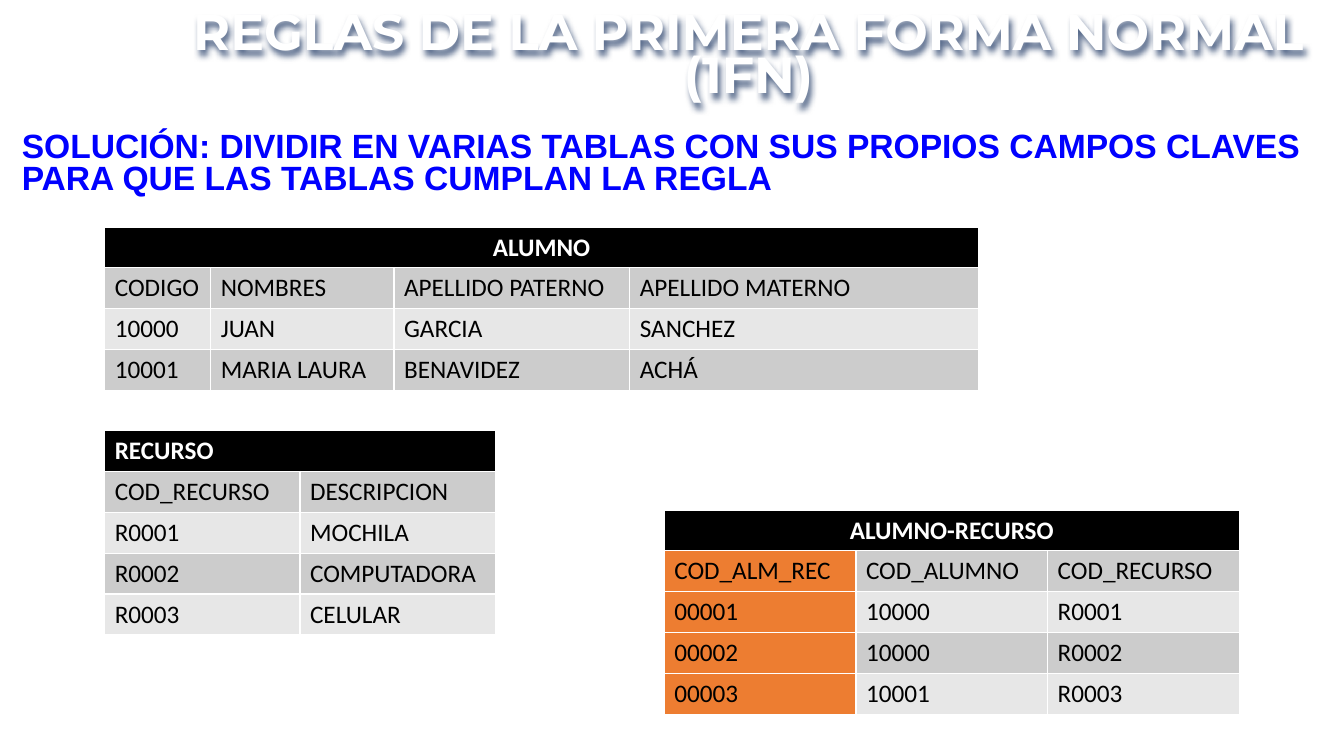
from lxml import etree
from pptx import Presentation
from pptx.dml.color import RGBColor
from pptx.enum import text
from pptx.oxml import ns
from pptx.util import Cm, Pt

WHITE = RGBColor(0xFF, 0xFF, 0xFF)
BLACK = RGBColor(0x00, 0x00, 0x00)
BLUE = RGBColor(0x00, 0x00, 0xFF)
ORANGE = RGBColor(0xED, 0x7D, 0x31)
DARK_BAND = RGBColor(0xCC, 0xCC, 0xCC)
LIGHT_BAND = RGBColor(0xE7, 0xE7, 0xE7)
LEFT = text.PP_ALIGN.LEFT
CENTER = text.PP_ALIGN.CENTER
ROW_HEIGHT = Cm(1.03)


def write(frame, words, font="Calibri", size=18, color=BLACK, bold=False,
          align=LEFT, spacing=None):
    para = frame.paragraphs[0]
    para.alignment = align
    if spacing:
        para.line_spacing = Pt(spacing)
    span = para.add_run()
    span.text = words
    span.font.name = font
    span.font.size = Pt(size)
    span.font.bold = bold
    span.font.color.rgb = color


deck = Presentation()
deck.slide_width = Cm(33.87)
deck.slide_height = Cm(19.05)
page = deck.slides.add_slide(deck.slide_layouts[5])

title = page.shapes.title
title.left, title.top, title.width, title.height = Cm(4.19), Cm(0.43), Cm(29.34), Cm(2.24)
frame = title.text_frame
frame.margin_left = frame.margin_top = frame.margin_right = frame.margin_bottom = 0
frame.vertical_anchor = text.MSO_ANCHOR.TOP
frame.auto_size = text.MSO_AUTO_SIZE.SHAPE_TO_FIT_TEXT
write(frame, "REGLAS DE LA PRIMERA FORMA NORMAL (1FN)", font="Montserrat",
      size=36, color=WHITE, bold=True, align=CENTER, spacing=31)

effects = etree.SubElement(title.element.spPr, ns.qn("a:effectLst"))
shadow = etree.SubElement(effects, ns.qn("a:outerShdw"), blurRad="50800",
                          dist="50800", dir="4200000", algn="tl", rotWithShape="0")
shade = etree.SubElement(shadow, ns.qn("a:srgbClr"), val="1F3864")
etree.SubElement(shade, ns.qn("a:alpha"), val="75000")

TABLES = [
    (2.64, 5.72, [2.67, 4.62, 5.94, 8.79], "ALUMNO", CENTER, None, [
        ["CODIGO", "NOMBRES", "APELLIDO PATERNO", "APELLIDO MATERNO"],
        ["10000", "JUAN", "GARCIA", "SANCHEZ"],
        ["10001", "MARIA LAURA", "BENAVIDEZ", "ACHÁ"],
    ]),
    (16.74, 12.85, [4.83] * 3, "ALUMNO-RECURSO", CENTER, ORANGE, [
        ["COD_ALM_REC", "COD_ALUMNO", "COD_RECURSO"],
        ["00001", "10000", "R0001"],
        ["00002", "10000", "R0002"],
        ["00003", "10001", "R0003"],
    ]),
    (2.64, 10.85, [4.92] * 2, "RECURSO", LEFT, None, [
        ["COD_RECURSO", "DESCRIPCION"],
        ["R0001", "MOCHILA"],
        ["R0002", "COMPUTADORA"],
        ["R0003", "CELULAR"],
    ]),
]

for left, top, widths, name, align, key_color, records in TABLES:
    row_count = len(records) + 1
    table = page.shapes.add_table(row_count, len(widths), Cm(left), Cm(top),
                                  Cm(sum(widths)), ROW_HEIGHT * row_count).table
    for column, width in zip(table.columns, widths):
        column.width = Cm(width)
    for row in table.rows:
        row.height = ROW_HEIGHT

    header = table.cell(0, 0)
    header.merge(table.cell(0, len(widths) - 1))
    header.fill.solid()
    header.fill.fore_color.rgb = BLACK
    write(header.text_frame, name, color=WHITE, bold=True, align=align)

    for r, record in enumerate(records, 1):
        for c, value in enumerate(record):
            cell = table.cell(r, c)
            band = DARK_BAND if r % 2 else LIGHT_BAND
            cell.fill.solid()
            cell.fill.fore_color.rgb = key_color if key_color and c == 0 else band
            write(cell.text_frame, value)

solution = page.shapes.add_textbox(Cm(0.3), Cm(3.23), Cm(34.14), Cm(1.9))
solution.text_frame.word_wrap = True
solution.text_frame.auto_size = text.MSO_AUTO_SIZE.SHAPE_TO_FIT_TEXT
write(solution.text_frame,
      "SOLUCIÓN: DIVIDIR EN VARIAS TABLAS CON SUS PROPIOS CAMPOS CLAVES "
      "PARA QUE LAS TABLAS CUMPLAN LA REGLA",
      font="Arial", size=24, color=BLUE, bold=True, spacing=23)

deck.save("out.pptx")
